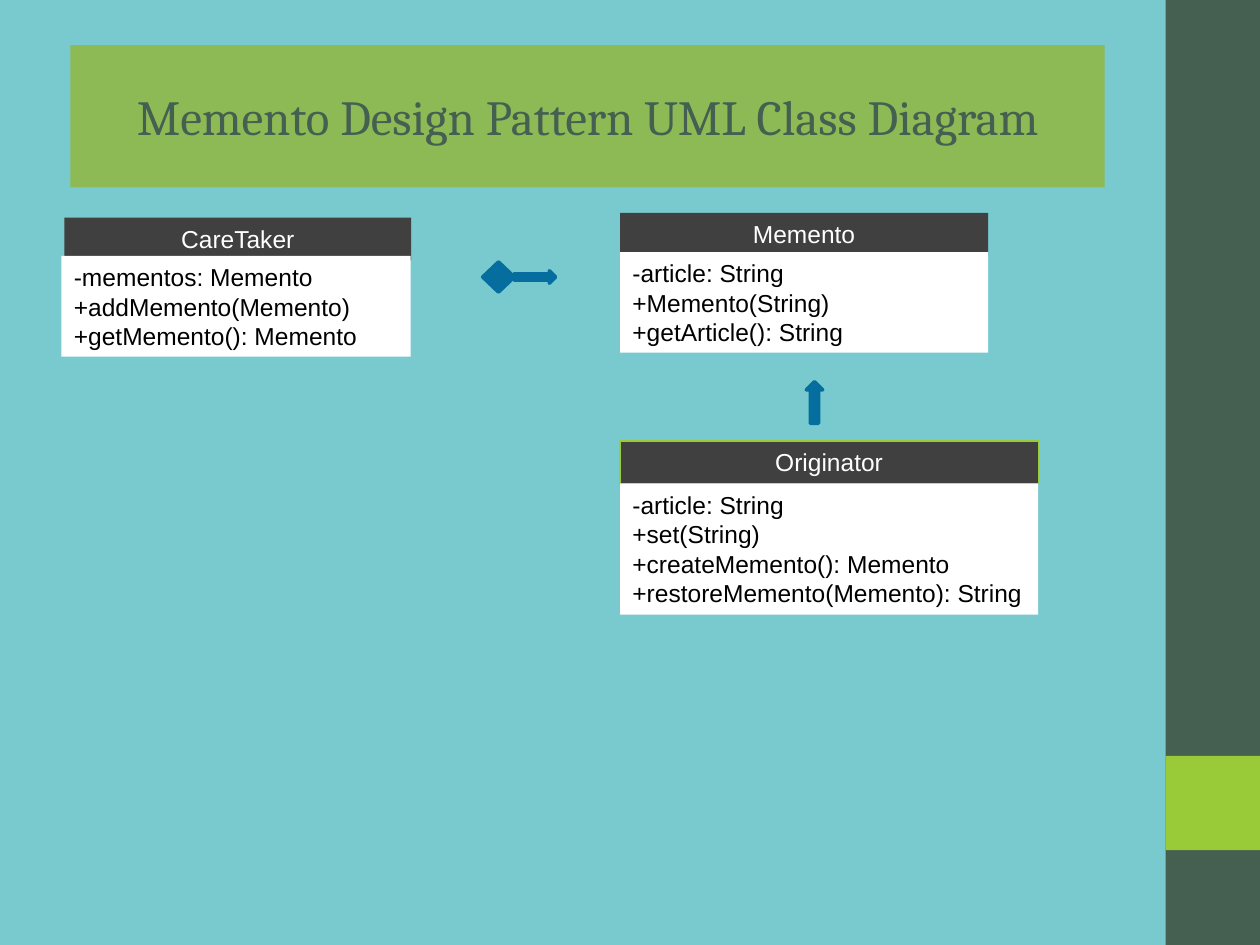
from pptx import Presentation
from pptx import util as u
from pptx.dml import color
from pptx.enum import shapes, text

RECTANGLE = shapes.MSO_SHAPE.RECTANGLE
ARROW = shapes.MSO_SHAPE.RIGHT_ARROW
DIAMOND = shapes.MSO_SHAPE.FLOWCHART_DECISION
CENTER, LEFT = text.PP_ALIGN.CENTER, text.PP_ALIGN.LEFT
DARK_GREEN, LIME, BLUE = "455F51", "99CB38", "066E9F"


def rgb(value):
    return color.RGBColor.from_string(value)


def add_block(kind, box, fill, line=None, width=0.75, lines=(), align=CENTER,
              ink="FFFFFF", font="Arial", size=14, frame=None):
    shape = slide.shapes.add_shape(kind, *[u.Cm(length) for length in box])
    shape.shadow.inherit = False
    shape.fill.solid()
    shape.fill.fore_color.rgb = rgb(fill)
    if line:
        shape.line.color.rgb = rgb(line)
        shape.line.width = u.Pt(width)
    else:
        shape.line.fill.background()

    for name, value in (frame or {}).items():
        setattr(shape.text_frame, name, value)
    for index, content in enumerate(lines):
        text_frame = shape.text_frame
        paragraph = text_frame.add_paragraph() if index else text_frame.paragraphs[0]
        paragraph.text = content
        paragraph.alignment = align
        for name, value in {"name": font, "size": u.Pt(size)}.items():
            setattr(paragraph.font, name, value)
        paragraph.font.color.rgb = rgb(ink)
    return shape


presentation = Presentation()
presentation.slide_width, presentation.slide_height = u.Cm(25.4), u.Cm(19.05)
slide = presentation.slides.add_slide(presentation.slide_layouts[6])
slide.background.fill.solid()
slide.background.fill.fore_color.rgb = rgb("78CACF")

# Side bar with its accent square
add_block(RECTANGLE, (23.5, 0, 1.9, 19.05), DARK_GREEN)
add_block(RECTANGLE, (23.5, 15.24, 1.9, 1.9), LIME)

# Title
add_block(RECTANGLE, (1.42, 0.91, 20.85, 2.87), "8DBA55",
          lines=["Memento Design Pattern UML Class Diagram"],
          ink=DARK_GREEN, font="Cambria", size=28,
          frame={"vertical_anchor": text.MSO_ANCHOR.MIDDLE, "word_wrap": True})

# Classes: name, header box, header line, body box, members
classes = [
    ("CareTaker", (1.3, 4.39, 6.99, 0.86), None, (1.24, 5.16, 7.04, 2.03),
     ["-mementos: Memento", "+addMemento(Memento)", "+getMemento(): Memento"]),
    ("Memento", (12.5, 4.29, 7.42, 0.86), None, (12.5, 5.08, 7.42, 2.03),
     ["-article: String", "+Memento(String)", "+getArticle(): String"]),
    ("Originator", (12.5, 8.89, 8.43, 0.86), LIME, (12.5, 9.75, 8.43, 2.64),
     ["-article: String", "+set(String)", "+createMemento(): Memento",
      "+restoreMemento(Memento): String"]),
]
class_frame = {
    "vertical_anchor": text.MSO_ANCHOR.TOP,
    "word_wrap": True,
    "auto_size": text.MSO_AUTO_SIZE.SHAPE_TO_FIT_TEXT,
}
for name, header, outline, body, members in classes:
    add_block(RECTANGLE, header, "404040", outline, lines=[name], frame=class_frame)
    add_block(RECTANGLE, body, "FFFFFF", lines=members, align=LEFT,
              ink="000000", frame=class_frame)

# Relations: Originator uses Memento, CareTaker is composed of Memento
relations = [
    (ARROW, (16, 7.95, 0.84, 0.33), 270),
    (ARROW, (10.36, 5.46, 0.84, 0.25), 0),
    (DIAMOND, (9.73, 5.28, 0.64, 0.61), 0),
]
for kind, box, rotation in relations:
    relation = add_block(kind, box, BLUE, BLUE, width=2)
    relation.rotation = rotation

presentation.save("out.pptx")
